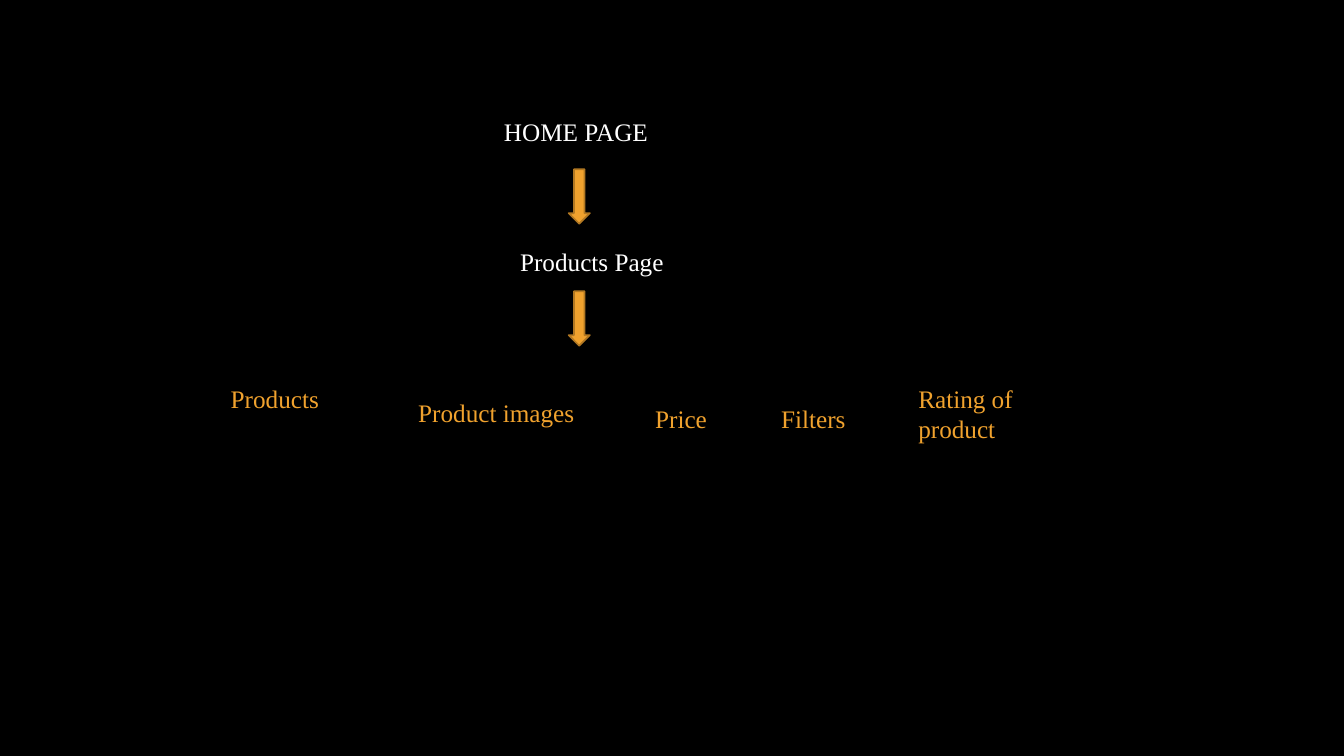
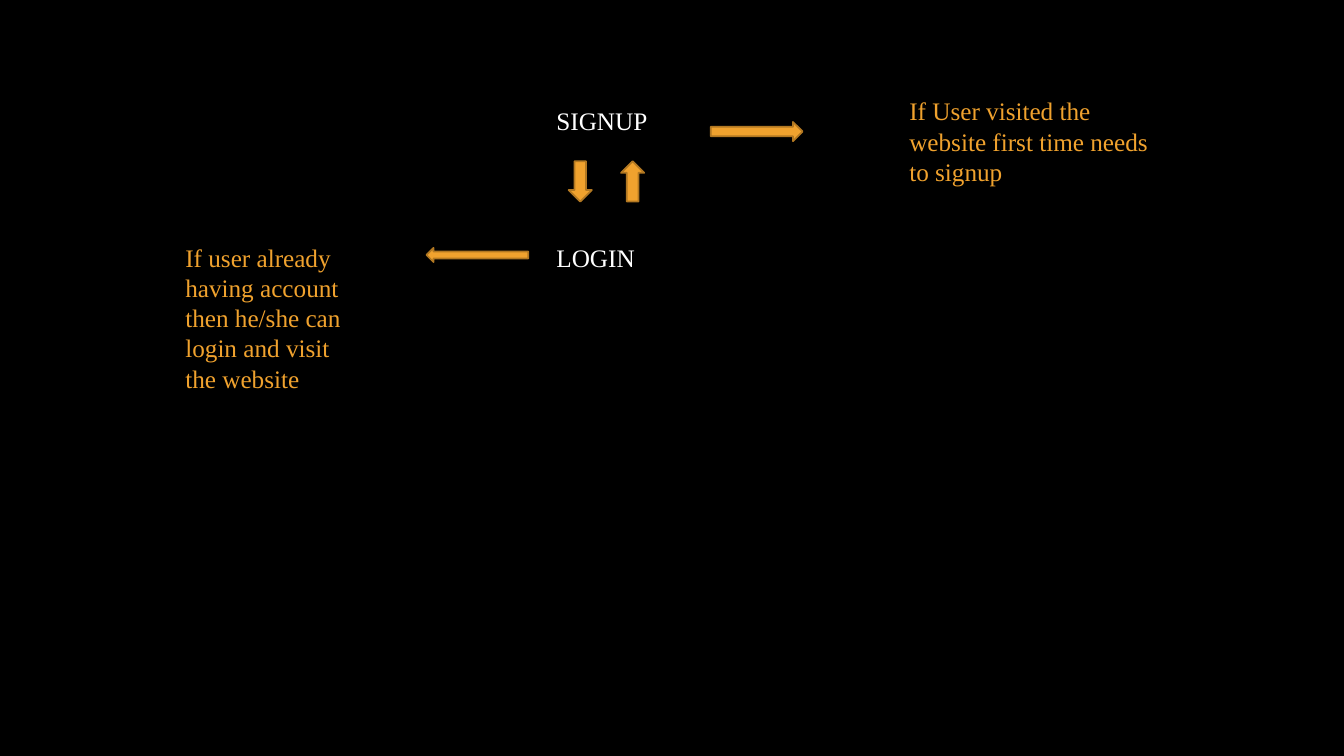
from pptx import Presentation
from pptx.dml.color import RGBColor
from pptx.enum import shapes, text
from pptx.util import Inches, Pt

COLORS = {"background": "000000", "heading": "FFFFFF",
          "accent": "F0A22E", "outline": "B27822"}
FONT = "Times New Roman"
ARROW = shapes.MSO_SHAPE


def color(name):
    return RGBColor.from_string(COLORS[name])


def add_label(s, words, x, y, w, h=0.4, tone="accent"):
    tf = s.shapes.add_textbox(Inches(x), Inches(y), Inches(w), Inches(h)).text_frame
    tf.word_wrap = True
    tf.auto_size = text.MSO_AUTO_SIZE.SHAPE_TO_FIT_TEXT
    tf.text = words
    font = tf.paragraphs[0].runs[0].font
    font.name, font.size = FONT, Pt(18)
    font.color.rgb = color(tone)


def add_arrow(s, kind, x, y, w, h):
    sp = s.shapes.add_shape(kind, Inches(x), Inches(y), Inches(w), Inches(h))
    sp.shadow.inherit = False
    sp.fill.solid()
    sp.fill.fore_color.rgb = color("accent")
    sp.line.color.rgb = color("outline")
    sp.line.width = Pt(1.25)


def add_page_flow(s, left, top):
    """Home page leading to the products page, each followed by a down arrow."""
    add_label(s, "HOME PAGE", left, top, 2.99, tone="heading")
    add_label(s, "Products Page", left + 0.16, top + 1.28, 1.85, tone="heading")
    for dy in (0.57, 1.78):
        add_arrow(s, ARROW.DOWN_ARROW, left + 0.74, top + dy, 0.21, 0.54)


def add_product_features(s, left, top):
    features = [("Products", 0, 0, 1.96, 0.4),
                ("Product images", 1.86, 0.14, 2.14, 0.4),
                ("Price", 4.21, 0.2, 1.36, 0.4),
                ("Filters", 5.46, 0.2, 1.14, 0.4),
                ("Rating of product", 6.82, 0, 1.51, 0.71)]
    for words, dx, dy, w, h in features:
        add_label(s, words, left + dx, top + dy, w, h)


def add_account_steps(s, left, top):
    """Signup above login, with arrows running both ways between them."""
    add_label(s, "SIGNUP", left, top, 2.42, tone="heading")
    add_label(s, "LOGIN", left, top + 1.35, 1.01, tone="heading")
    for kind, dx in ((ARROW.DOWN_ARROW, 0.22), (ARROW.UP_ARROW, 0.74)):
        add_arrow(s, kind, left + dx, top + 0.6, 0.23, 0.4)


def add_signup_note(s, left, top):
    add_arrow(s, ARROW.RIGHT_ARROW, left, top + 0.31, 0.91, 0.19)
    add_label(s, "If User visited the website first time needs to signup",
              left + 1.87, top, 2.71, 1.01)


def add_login_note(s, left, top):
    add_label(s, "If user already having account then he/she can login "
              "and visit the website", left, top, 1.86, 1.62)
    add_arrow(s, ARROW.LEFT_ARROW, left + 2.49, top + 0.11, 1.01, 0.14)


def build_products_slide(s):
    add_page_flow(s, 4.9, 1.11)
    add_product_features(s, 2.19, 3.75)


def build_account_slide(s):
    add_account_steps(s, 5.42, 1)
    add_signup_note(s, 7.05, 0.9)
    add_login_note(s, 1.74, 2.35)


def main():
    prs = Presentation()
    prs.slide_width, prs.slide_height = Inches(13.33), Inches(7.5)
    backdrop = prs.slide_master.background.fill
    backdrop.solid()
    backdrop.fore_color.rgb = color("background")
    for build in (build_products_slide, build_account_slide):
        build(prs.slides.add_slide(prs.slide_layouts[6]))
    prs.save("out.pptx")


if __name__ == "__main__":
    main()
